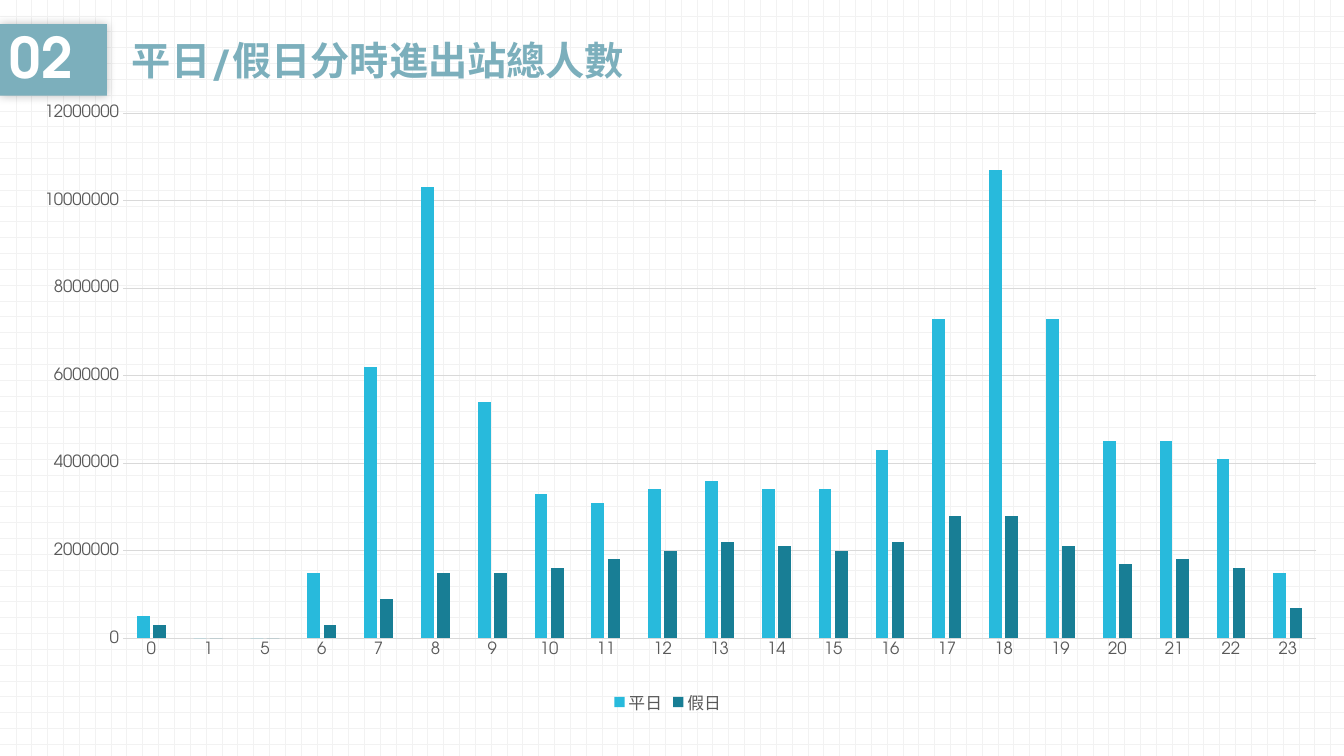
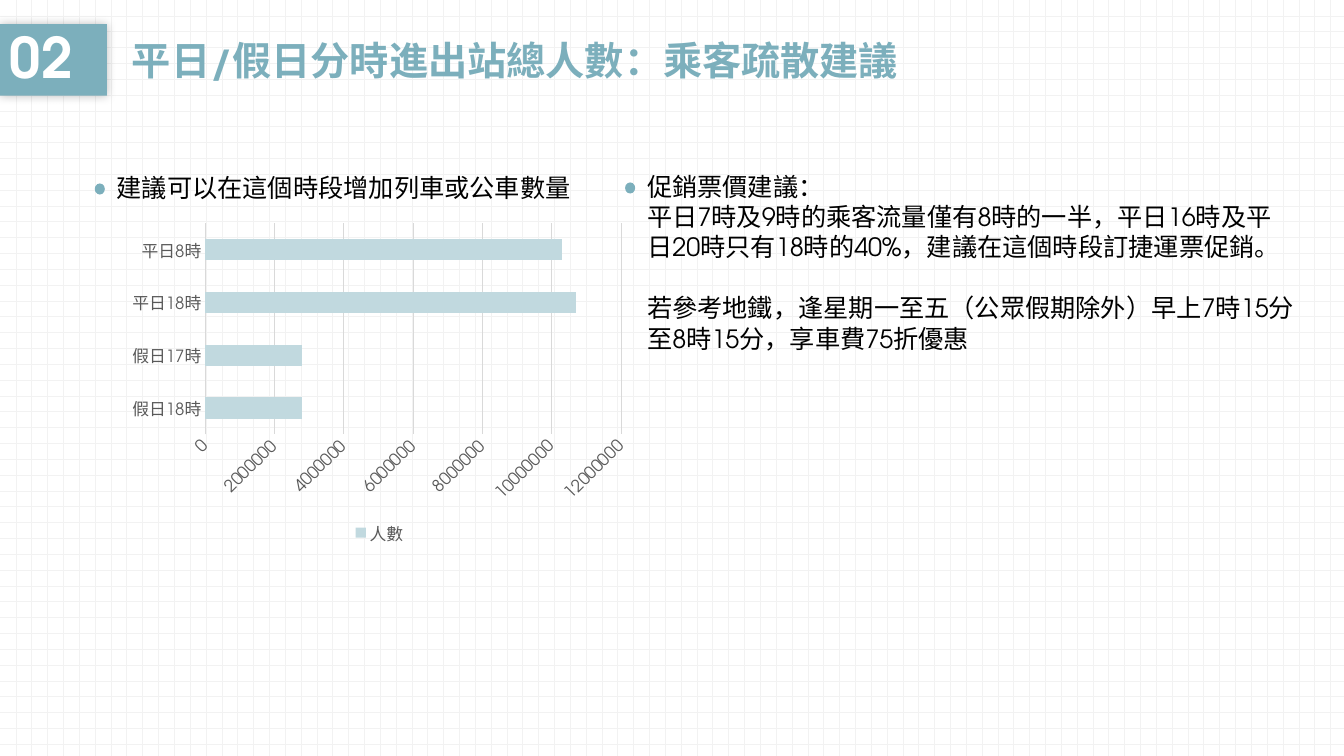
from dataclasses import dataclass

from pptx import Presentation
from pptx.chart.data import CategoryChartData
from pptx.dml.color import RGBColor
from pptx.enum.chart import XL_CHART_TYPE as ChartType
from pptx.enum.chart import XL_LEGEND_POSITION as LegendPos
from pptx.enum.chart import XL_TICK_MARK as Tick
from pptx.enum.dml import MSO_PATTERN as Pattern
from pptx.enum.shapes import MSO_SHAPE as Shape
from pptx.enum.text import MSO_ANCHOR as Anchor
from pptx.enum.text import PP_ALIGN as Align
from pptx.oxml import parse_xml
from pptx.oxml.ns import nsdecls, qn
from pptx.util import Inches, Pt


@dataclass(frozen=True)
class Theme:
    font: str = "TeX Gyre Adventor"
    accent: str = "7CAFBC"
    white: str = "FFFFFF"
    paper_dots: str = "F2F2F2"
    text: str = "000000"
    chart_text: str = "595959"
    chart_line: str = "D9D9D9"
    weekday: str = "28BADC"
    holiday: str = "187E95"
    total: str = "C1D9DF"
    badge_size: int = 40
    title_size: int = 28
    body_size: int = 18
    chart_size: int = 12


def rgb(code):
    return RGBColor.from_string(code)


class Deck:
    def __init__(self, theme):
        self.theme = theme
        self.prs = Presentation()
        self.prs.slide_width = Inches(13.33)
        self.prs.slide_height = Inches(7.5)
        self.slide = None

    def add_slide(self, number, title):
        """Start a slide with the dotted paper, the number badge and the title."""
        t = self.theme
        self.slide = self.prs.slides.add_slide(self.prs.slide_layouts[6])
        fill = self.slide.background.fill
        fill.patterned()
        fill.pattern = Pattern.DOTTED_GRID
        fill.fore_color.rgb = rgb(t.paper_dots)
        fill.back_color.rgb = rgb(t.white)
        self.badge(number)
        self.text([title], 1.21, 0.24, 10, 0.71, t.title_size, t.accent,
                  bold=True, anchor=Anchor.MIDDLE)

    def style_font(self, font, size, color, bold=False):
        font.name = self.theme.font
        font.size = Pt(size)
        font.bold = bold
        font.color.rgb = rgb(color)

    def filled_shape(self, kind, left, top, width, height):
        sp = self.slide.shapes.add_shape(
            kind, Inches(left), Inches(top), Inches(width), Inches(height))
        sp.shadow.inherit = False
        sp.fill.solid()
        sp.fill.fore_color.rgb = rgb(self.theme.accent)
        sp.line.fill.background()
        return sp

    def badge(self, number):
        sp = self.filled_shape(Shape.RECTANGLE, 0, 0.24, 1.06, 0.71)
        effects = sp.element.spPr.find(qn("a:effectLst"))
        effects.append(parse_xml(
            f'<a:outerShdw {nsdecls("a")} blurRad="{Pt(7)}" dist="0" algn="ctr" '
            'rotWithShape="0"><a:srgbClr val="000000"><a:alpha val="25000"/>'
            '</a:srgbClr></a:outerShdw>'))
        tf = sp.text_frame
        tf.text = number
        tf.vertical_anchor = Anchor.MIDDLE
        p = tf.paragraphs[0]
        p.alignment = Align.LEFT
        p.line_spacing = 0.9
        self.style_font(p.runs[0].font, self.theme.badge_size, self.theme.white, True)

    def text(self, paragraphs, left, top, width, height, size, color,
             bold=False, anchor=Anchor.TOP):
        box = self.slide.shapes.add_textbox(
            Inches(left), Inches(top), Inches(width), Inches(height))
        tf = box.text_frame
        tf.word_wrap = True
        tf.vertical_anchor = anchor
        tf.text = "\n".join(paragraphs)
        for p in tf.paragraphs:
            self.style_font(p.runs[0].font, size, color, bold)
        return tf

    def point(self, paragraphs, left, top, width, height):
        """Add body text with a round marker left of its first line."""
        t = self.theme
        self.filled_shape(Shape.OVAL, left - 0.12, top + 0.16, 0.1, 0.11)
        return self.text(paragraphs, left, top, width, height, t.body_size, t.text)

    def chart(self, kind, categories, series, left, top, width, height,
              gap, overlap, plot_area=None):
        """Add a bar chart; series holds (name, colour, values) triples."""
        t = self.theme
        data = CategoryChartData()
        data.categories = categories
        for name, _, values in series:
            data.add_series(name, values)
        chart = self.slide.shapes.add_chart(
            kind, Inches(left), Inches(top), Inches(width), Inches(height), data).chart
        chart.has_title = False
        self.style_font(chart.font, t.chart_size, t.chart_text)
        chart.has_legend = True
        chart.legend.position = LegendPos.BOTTOM
        chart.legend.include_in_layout = False
        self.style_font(chart.legend.font, t.chart_size, t.chart_text)

        plot = chart.plots[0]
        plot.gap_width = gap
        plot.overlap = overlap
        plot.vary_by_categories = False
        for ser, (_, color, _) in zip(plot.series, series):
            ser.format.fill.solid()
            ser.format.fill.fore_color.rgb = rgb(color)

        cat_axis, val_axis = chart.category_axis, chart.value_axis
        for axis in (cat_axis, val_axis):
            axis.major_tick_mark = axis.minor_tick_mark = Tick.NONE
            self.style_font(axis.tick_labels.font, t.chart_size, t.chart_text)
        val_axis.minimum_scale = 0
        val_axis.maximum_scale = 12_000_000
        val_axis.major_unit = 2_000_000
        val_axis.has_major_gridlines = True
        val_axis.format.line.fill.background()
        for line in (cat_axis.format.line, val_axis.major_gridlines.format.line):
            line.color.rgb = rgb(t.chart_line)
            line.width = Pt(0.75)
        if plot_area:
            self.place_plot(chart, plot_area)

    @staticmethod
    def place_plot(chart, area):
        """Fix the inner plot area, given as x, y, w, h fractions of the chart."""
        plot_area = chart.element.find(".//" + qn("c:plotArea"))
        for old in plot_area.findall(qn("c:layout")):
            plot_area.remove(old)
        modes = '<c:xMode val="edge"/><c:yMode val="edge"/>'
        sizes = "".join(f'<c:{k} val="{v}"/>' for k, v in zip("xywh", area))
        plot_area.insert(0, parse_xml(
            f'<c:layout {nsdecls("c")}><c:manualLayout><c:layoutTarget val="inner"/>'
            f'{modes}{sizes}</c:manualLayout></c:layout>'))


def hourly_slide(deck):
    t = deck.theme
    hours = [str(h) for h in (0, 1, *range(5, 24))]
    weekday = [0.5, 0, 0, 1.5, 6.2, 10.3, 5.4, 3.3, 3.1, 3.4, 3.6,
               3.4, 3.4, 4.3, 7.3, 10.7, 7.3, 4.5, 4.5, 4.1, 1.5]
    holiday = [0.3, 0, 0, 0.3, 0.9, 1.5, 1.5, 1.6, 1.8, 2, 2.2,
               2.1, 2, 2.2, 2.8, 2.8, 2.1, 1.7, 1.8, 1.6, 0.7]
    series = [(name, color, [round(v * 1_000_000) for v in millions])
              for name, color, millions in (("平日", t.weekday, weekday),
                                            ("假日", t.holiday, holiday))]
    deck.add_slide("02", "平日/假日分時進出站總人數")
    deck.chart(ChartType.COLUMN_CLUSTERED, hours, series, 0.19, 1, 12.87, 6.13,
               gap=219, overlap=-27, plot_area=(0.08, 0.02, 0.92, 0.85))


def advice_slide(deck):
    t = deck.theme
    deck.add_slide("02", "平日/假日分時進出站總人數：乘客疏散建議")
    deck.chart(ChartType.BAR_STACKED,
               ["假日18時", "假日17時", "平日18時", "平日8時"],
               [("人數", t.total, [2_800_000, 2_800_000, 10_700_000, 10_300_000])],
               1.21, 2.15, 5.11, 3.3, gap=150, overlap=100)
    deck.point(["建議可以在這個時段增加列車或公車數量"], 1.06, 1.66, 5, 0.71)
    tf = deck.point([
        "促銷票價建議：",
        "平日7時及9時的乘客流量僅有8時的一半，平日16時及平日20時只有18時的40%，"
        "建議在這個時段訂捷運票促銷。",
        "若參考地鐵，逢星期一至五（公眾假期除外）早上7時15分至8時15分，享車費75折優惠",
    ], 6.32, 1.65, 6.62, 1.92)
    tf.paragraphs[-1].space_before = Pt(22)


def main():
    deck = Deck(Theme())
    hourly_slide(deck)
    advice_slide(deck)
    deck.prs.save("out.pptx")


if __name__ == "__main__":
    main()
